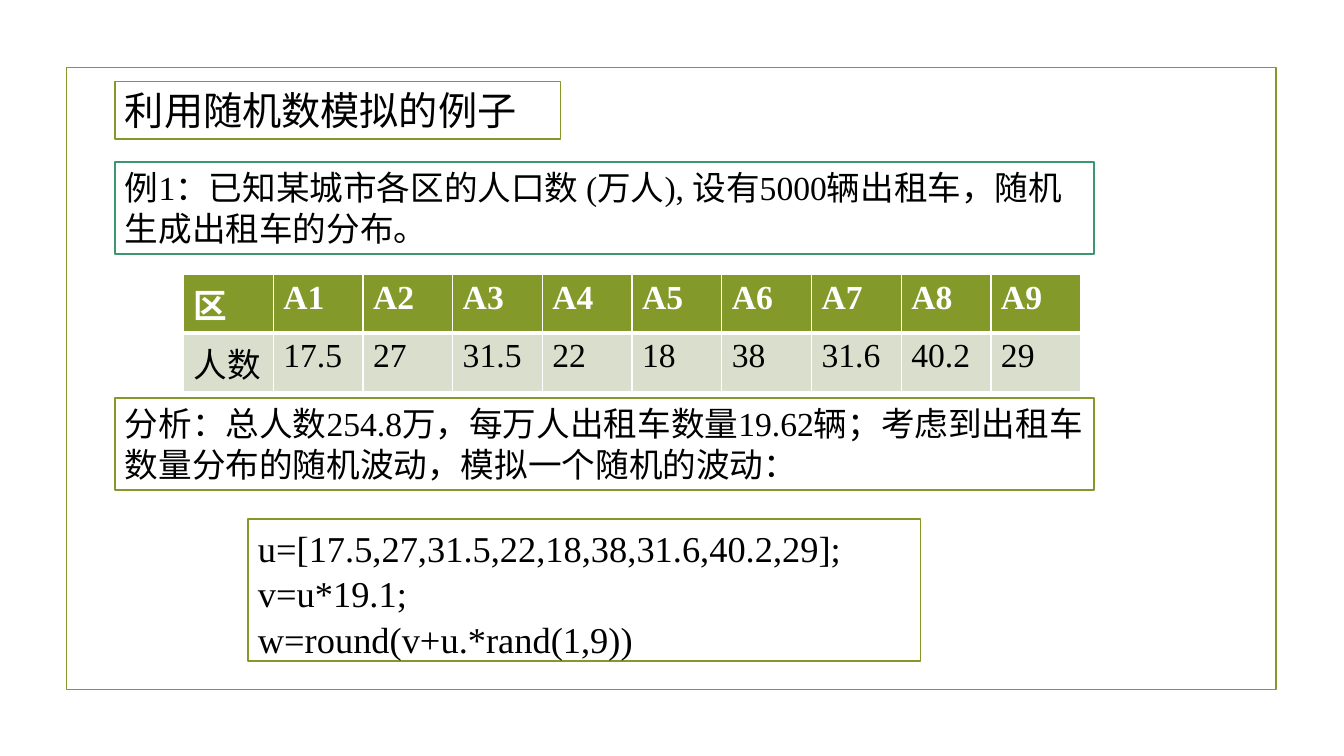
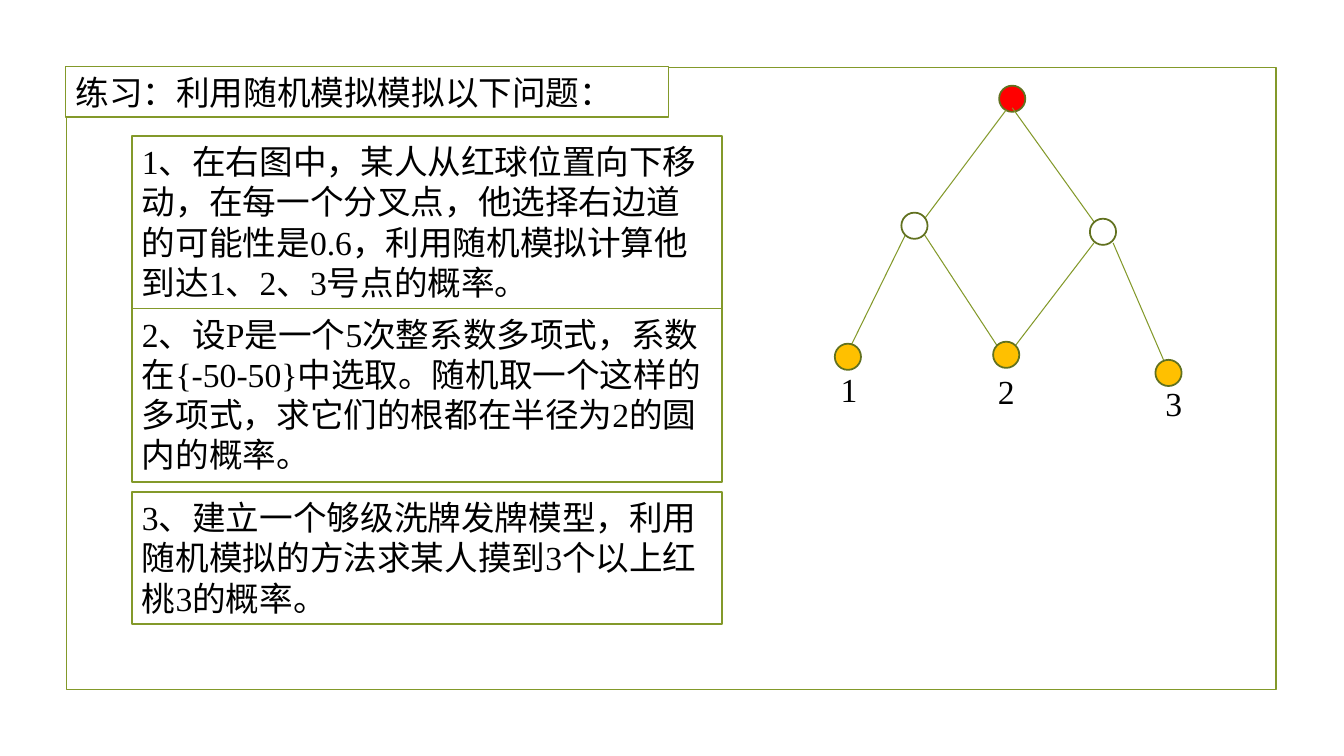
from pptx import Presentation
from pptx.dml.color import RGBColor
from pptx.enum.shapes import MSO_CONNECTOR as LINE, MSO_SHAPE as SHAPE
from pptx.enum.text import MSO_ANCHOR as ANCHOR, PP_ALIGN as ALIGN
from pptx.oxml.ns import qn
from pptx.util import Inches, Pt
from lxml.etree import SubElement

OLIVE, DARK_OLIVE, TEAL, PALE = "83992A", "61711F", "3C9770", "D9DECD"
WHITE, BLACK, RED, AMBER = "FFFFFF", "000000", "FF0000", "FFC000"


def color(value):
    return RGBColor.from_string(value)


def apply(target, values):
    for name, value in values.items():
        setattr(target, name, value)


class Slides:
    """Holds the shared style and the current page."""
    font = "Times New Roman"
    body_size = 24
    outline = 1.25
    dot_size = 0.26

    def __init__(self):
        self.deck = Presentation()
        apply(self.deck, {"slide_width": Inches(13.33),
                          "slide_height": Inches(7.5)})
        self.page = None

    def new_page(self):
        self.page = self.deck.slides.add_slide(self.deck.slide_layouts[6])
        self.shape(SHAPE.RECTANGLE, 0.66, 0.67, 12, 6.17)

    def shape(self, kind, left, top, width, height, fill=None, line=OLIVE):
        item = self.page.shapes.add_shape(
            kind, Inches(left), Inches(top), Inches(width), Inches(height))
        item.shadow.inherit = False
        if fill:
            item.fill.solid()
            item.fill.fore_color.rgb = color(fill)
        else:
            item.fill.background()
        item.line.color.rgb = color(line)
        item.line.width = Pt(self.outline)
        return item

    def set_text(self, frame, lines, size=None, ink=BLACK, bold=False,
                 spacing=None):
        for index, line in enumerate(lines):
            para = frame.add_paragraph() if index else frame.paragraphs[0]
            apply(para, {"alignment": ALIGN.LEFT, "line_spacing": spacing})
            span = para.add_run()
            span.text = line
            apply(span.font, {"name": self.font, "bold": bold,
                              "size": Pt(size or self.body_size)})
            span.font.color.rgb = color(ink)

    def text_box(self, lines, left, top, width, height, line=OLIVE, **style):
        box = self.shape(SHAPE.RECTANGLE, left, top, width, height,
                         WHITE, line)
        apply(box.text_frame, {"word_wrap": True,
                               "vertical_anchor": ANCHOR.TOP})
        self.set_text(box.text_frame, lines, **style)

    def label(self, text, left, top):
        box = self.page.shapes.add_textbox(
            Inches(left), Inches(top), Inches(0.47), Inches(0.5))
        box.text_frame.word_wrap = True
        self.set_text(box.text_frame, [text])

    def dot(self, left, top, fill=None):
        self.shape(SHAPE.OVAL, left, top, self.dot_size, self.dot_size,
                   fill, DARK_OLIVE)

    def branch(self, *ends):
        link = self.page.shapes.add_connector(
            LINE.STRAIGHT, *[Inches(end) for end in ends])
        link.line.color.rgb = color(OLIVE)
        link.line.width = Pt(0.75)
        SubElement(link._element.spPr, qn("a:effectLst"))

    def borders(self, cell, widths):
        properties = cell._tc.get_or_add_tcPr()
        for side, width in widths.items():
            edge = SubElement(properties, qn("a:ln" + side), w=str(Pt(width)))
            fill = SubElement(edge, qn("a:solidFill"))
            SubElement(fill, qn("a:srgbClr"), val=WHITE)

    def table(self, rows, left, top, column_width, row_height):
        columns = len(rows[0])
        grid = self.page.shapes.add_table(
            len(rows), columns, Inches(left), Inches(top),
            Inches(column_width * columns),
            Inches(row_height * len(rows))).table
        for column in grid.columns:
            column.width = Inches(column_width)
        for r, row in enumerate(rows):
            head = r == 0
            for c, text in enumerate(row):
                cell = grid.cell(r, c)
                self.borders(cell, {"L": 1, "R": 1, "T": 1 if head else 3,
                                    "B": 3 if head else 1})
                cell.fill.solid()
                cell.fill.fore_color.rgb = color(OLIVE if head else PALE)
                self.set_text(cell.text_frame, [text],
                              ink=WHITE if head else BLACK, bold=head)


def taxi_page(slides):
    slides.new_page()
    slides.text_box(["利用随机数模拟的例子"], 1.14, 0.81, 4.42, 0.57, size=28)
    slides.text_box(
        ["例1：已知某城市各区的人口数 (万人), 设有5000辆出租车，"
         "随机生成出租车的分布。"], 1.14, 1.61, 9.71, 0.91, TEAL)

    # Population by district
    people = [17.5, 27, 31.5, 22, 18, 38, 31.6, 40.2, 29]
    districts = [f"A{number}" for number in range(1, len(people) + 1)]
    slides.table([["区", *districts], ["人数", *map(str, people)]],
                 1.82, 2.72, 0.89, 0.5)

    # Analysis and code
    slides.text_box(
        ["分析：总人数254.8万，每万人出租车数量19.62辆；考虑到出租车数量"
         "分布的随机波动，模拟一个随机的波动："], 1.14, 3.95, 9.71, 0.91)
    slides.text_box(
        ["u=[17.5,27,31.5,22,18,38,31.6,40.2,29];", "v=u*19.1;",
         "w=round(v+u.*rand(1,9))"],
        2.46, 5.15, 6.67, 1.41, size=26, spacing=1.04)


def exercise_page(slides):
    slides.new_page()
    slides.text_box(["练习：利用随机模拟模拟以下问题："], 0.65, 0.66, 5.98, 0.5)

    # Exercises
    exercises = [
        (1.35, 1.72, "1、在右图中，某人从红球位置向下移动，在每一个分叉点，"
         "他选择右边道的可能性是0.6，利用随机模拟计算他到达1、2、3号点的概率。"),
        (3.06, 1.72, "2、设P是一个5次整系数多项式，系数在{-50-50}中选取。"
         "随机取一个这样的多项式，求它们的根都在半径为2的圆内的概率。"),
        (4.88, 1.31, "3、建立一个够级洗牌发牌模型，利用随机模拟的方法"
         "求某人摸到3个以上红桃3的概率。"),
    ]
    for top, height, text in exercises:
        slides.text_box([text], 1.31, top, 5.85, height)

    # Branching paths from the red ball
    slides.dot(9.91, 0.85, RED)
    branches = [
        (9.98, 1.09, 9.17, 2.17), (10.04, 1.07, 10.85, 2.2),
        (8.98, 2.33, 8.44, 3.43), (9.17, 2.33, 9.89, 3.43),
        (10.85, 2.41, 10.07, 3.43), (11.04, 2.41, 11.54, 3.57),
    ]
    for ends in branches:
        slides.branch(*ends)
    for left, top in [(8.94, 2.11), (10.81, 2.17)]:
        slides.dot(left, top)

    # Numbered end points
    for left, top in [(8.28, 3.41), (9.85, 3.39), (11.46, 3.57)]:
        slides.dot(left, top, AMBER)
    for text, left, top in [("1", 8.24, 3.61), ("2", 9.8, 3.63),
                            ("3", 11.46, 3.75)]:
        slides.label(text, left, top)


def main():
    slides = Slides()
    taxi_page(slides)
    exercise_page(slides)
    slides.deck.save("out.pptx")


if __name__ == "__main__":
    main()
